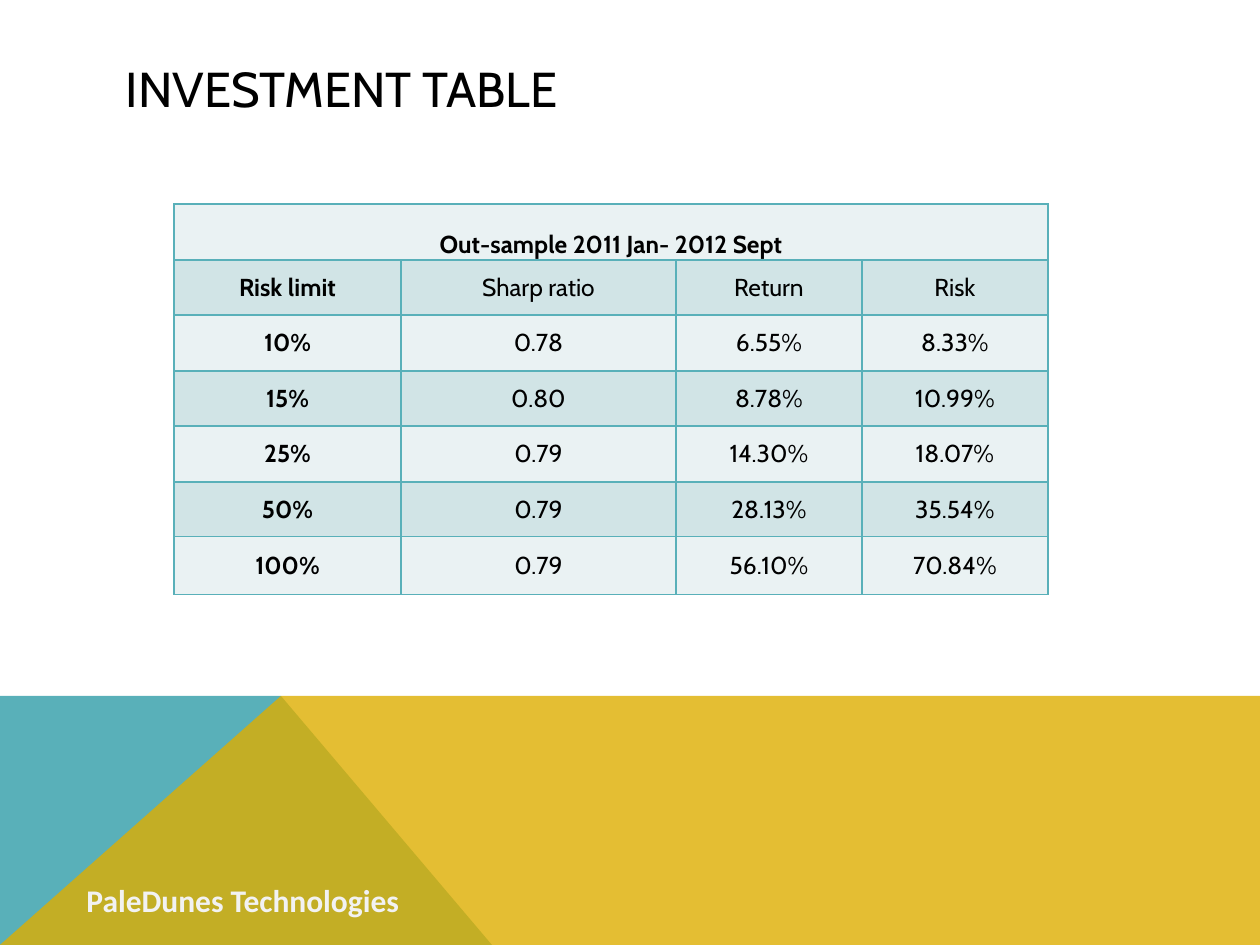
from lxml.etree import SubElement
from pptx import Presentation
from pptx.dml.color import RGBColor
from pptx.enum.text import MSO_ANCHOR as Anchor, PP_ALIGN as Align
from pptx.oxml.ns import qn
from pptx.util import Pt

SCALE = 914400 / 126  # EMU in one px
TEAL, GOLD, BLACK, PALE = "59B0B9", "DEAE00", "000000", "F2F2F2"
ROW_FILLS = ("EAF2F3", "D1E4E6")
HEADING = "Out-sample 2011 Jan- 2012 Sept"
ROWS = [
    ("Risk limit", "Sharp ratio", "Return", "Risk"),
    ("10%", "0.78", "6.55%", "8.33%"),
    ("15%", "0.80", "8.78%", "10.99%"),
    ("25%", "0.79", "14.30%", "18.07%"),
    ("50%", "0.79", "28.13%", "35.54%"),
    ("100%", "0.79", "56.10%", "70.84%"),
]


def px(length):
    return round(length * SCALE)


def color(value):
    return RGBColor.from_string(value)


def write(frame, text, size, name, tint, bold=False, align=Align.LEFT):
    paragraph = frame.paragraphs[0]
    paragraph.alignment = align
    run = paragraph.add_run()
    run.text = text
    formats = {"size": Pt(size), "name": name, "bold": bold}
    for key, value in formats.items():
        setattr(run.font, key, value)
    run.font.color.rgb = color(tint)


def add_polygon(slide, points, fill, alpha=100):
    builder = slide.shapes.build_freeform(*points[0], scale=SCALE)
    builder.add_line_segments(points[1:], close=True)
    shape = builder.convert_to_shape()
    shape.shadow.inherit = False
    shape.fill.solid()
    shape.fill.fore_color.rgb = color(fill)
    shape.line.fill.background()
    if alpha < 100:
        tint = shape.fill._xPr.find(qn("a:solidFill"))[0]
        SubElement(tint, qn("a:alpha"), val=str(alpha * 1000))


def add_band(slide, left, top, width, height):
    right, bottom, peak = left + width, top + height, left + 281
    add_polygon(slide, [(left, bottom), (left, top), (peak, top),
                        (left + 492, bottom)], TEAL)
    # The see-through gold makes the olive triangle where it covers the teal
    add_polygon(slide, [(left, bottom), (peak, top), (right, top),
                        (right, bottom)], GOLD, alpha=80)


def place_title(slide, left, top, width, height):
    title = slide.shapes.title
    box = {"left": left, "top": top, "width": width, "height": height}
    for key, value in box.items():
        setattr(title, key, px(value))
    title.text_frame.vertical_anchor = Anchor.MIDDLE
    write(title.text_frame, "INVESTMENT TABLE", 28, "Cabin", BLACK)


def style_cell(cell, fill):
    properties = cell._tc.get_or_add_tcPr()
    for side in ("lnL", "lnR", "lnT", "lnB"):
        line = SubElement(properties, qn(f"a:{side}"), w=str(Pt(1)))
        SubElement(SubElement(line, qn("a:solidFill")),
                   qn("a:srgbClr"), val=TEAL)
    cell.fill.solid()
    cell.fill.fore_color.rgb = color(fill)
    formats = {"margin_left": px(9), "margin_right": px(9), "margin_top": 0,
               "margin_bottom": 0, "vertical_anchor": Anchor.MIDDLE}
    for key, value in formats.items():
        setattr(cell, key, value)


def add_investment_table(slide, left, top, width, height):
    column_widths = (227, 275, 186, 186)
    row_heights = [56, 55] * 3 + [58]
    table = slide.shapes.add_table(
        len(row_heights), len(column_widths),
        px(left), px(top), px(width), px(height)).table
    for column, size in zip(table.columns, column_widths):
        column.width = px(size)
    for row, size in zip(table.rows, row_heights):
        row.height = px(size)

    # Heading across all columns, then the figures
    grid = [(HEADING, "", "", "")] + ROWS
    for r, texts in enumerate(grid):
        for c, text in enumerate(texts):
            cell = table.cell(r, c)
            style_cell(cell, ROW_FILLS[r % 2])
            if text:
                write(cell.text_frame, text, 14, "Cabin", BLACK,
                      bold=c == 0, align=Align.CENTER)
    heading = table.cell(0, 0)
    heading.merge(table.cell(0, len(column_widths) - 1))
    heading.vertical_anchor = Anchor.BOTTOM


def add_company_name(slide, left, top, width, height):
    box = slide.shapes.add_textbox(px(left), px(top), px(width), px(height))
    box.text_frame.word_wrap = False
    write(box.text_frame, "PaleDunes Technologies", 18, "Calibri", PALE, bold=True)


def main():
    presentation = Presentation()
    presentation.slide_width, presentation.slide_height = px(1260), px(945)
    slide = presentation.slides.add_slide(presentation.slide_layouts[5])
    slide.background.fill.solid()
    slide.background.fill.fore_color.rgb = color("FFFFFF")
    add_band(slide, 0, 696, 1260, 249)
    place_title(slide, 113, 50, 1036, 76)
    add_investment_table(slide, 174, 204, 874, 391)
    add_company_name(slide, 74, 875, 346, 50)
    presentation.save("out.pptx")


if __name__ == "__main__":
    main()
